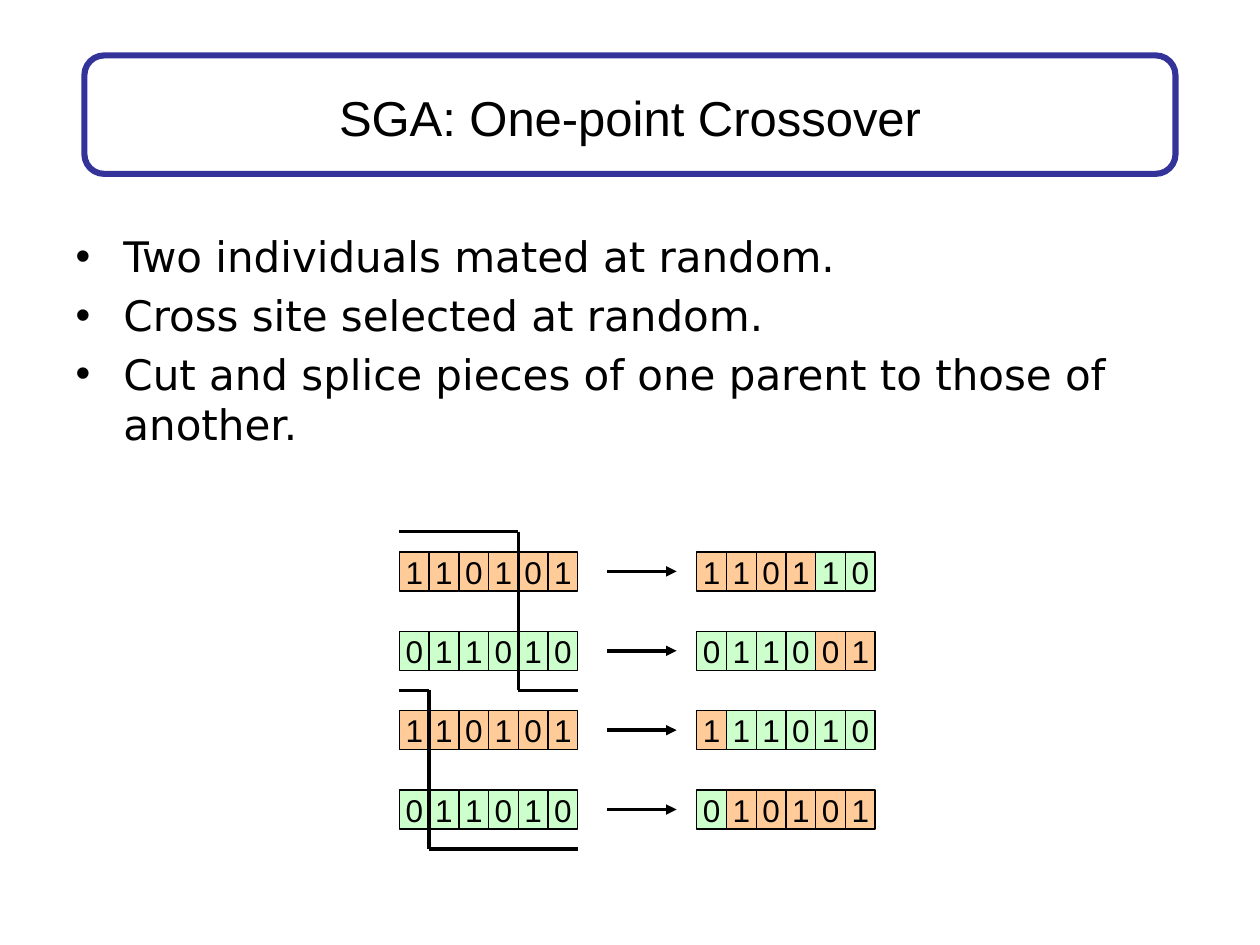
import pptx
import pptx.util
import pptx.dml.color
import pptx.enum.shapes
import pptx.enum.text
import pptx.oxml
import pptx.oxml.ns
from pptx.util import Inches, Pt

TITLE = "SGA: One-point Crossover"
BULLETS = [
    "Two individuals mated at random. ",
    "Cross site selected at random.",
    "Cut and splice pieces of one parent to those of another.",
]
ORANGE, GREEN, BLACK, BLUE = "FFCC99", "CCFFCC", "000000", "333399"
PARENTS = [("110101", ORANGE), ("011010", GREEN)]
CUTS = [4, 1]

PARENT_X, CHILD_X, TOP = 3.17, 5.53, 4.38
CELL_W, CELL_H, ROW_STEP = 0.236, 0.31, 0.63
ARROW_X1, ARROW_X2 = 4.82, 5.37
CUT_MARGIN = 0.16


def color(value):
    return pptx.dml.color.RGBColor.from_string(value)


def format_text(p, font, size):
    for r in p.runs:
        r.font.name = font
        r.font.size = Pt(size)
        r.font.color.rgb = color(BLACK)


def add_line(x1, y1, x2, y2, arrow=False):
    line = s.shapes.add_connector(
        pptx.enum.shapes.MSO_CONNECTOR.STRAIGHT,
        Inches(x1), Inches(y1), Inches(x2), Inches(y2))
    line.line.color.rgb = color(BLACK)
    line.line.width = Pt(2)
    if arrow:
        ln = line.line._get_or_add_ln()
        pptx.oxml.ns.qn("a:tailEnd")
        ln.append(pptx.oxml.parse_xml(
            '<a:tailEnd %s type="triangle"/>' % pptx.oxml.ns.nsdecls("a")))
    line._element.spPr.append(pptx.oxml.parse_xml(
        "<a:effectLst %s/>" % pptx.oxml.ns.nsdecls("a")))


def add_genes(x, y, genes):
    for i, (bit, fill) in enumerate(genes):
        sp = s.shapes.add_shape(
            pptx.enum.shapes.MSO_SHAPE.RECTANGLE,
            Inches(x + i * CELL_W), Inches(y), Inches(CELL_W), Inches(CELL_H))
        sp.shadow.inherit = False
        sp.fill.solid()
        sp.fill.fore_color.rgb = color(fill)
        sp.line.color.rgb = color(BLACK)
        sp.line.width = Pt(0.75)
        tf = sp.text_frame
        tf.word_wrap = False
        tf.vertical_anchor = pptx.enum.text.MSO_ANCHOR.MIDDLE
        tf.text = bit
        p = tf.paragraphs[0]
        p.alignment = pptx.enum.text.PP_ALIGN.CENTER
        format_text(p, "Arial", 18)


def place(sp, x, y, w, h):
    sp.left, sp.top, sp.width, sp.height = map(Inches, (x, y, w, h))


prs = pptx.Presentation()
prs.slide_width, prs.slide_height = Inches(10), Inches(7.5)
s = prs.slides.add_slide(prs.slide_layouts[1])

frame = s.shapes.add_shape(
    pptx.enum.shapes.MSO_SHAPE.ROUNDED_RECTANGLE,
    Inches(0.67), Inches(0.44), Inches(8.66), Inches(0.94))
frame.shadow.inherit = False
frame.fill.background()
frame.line.color.rgb = color(BLUE)
frame.line.width = Pt(3.5)
s.shapes._spTree.insert(2, frame._element)

title = s.shapes.title
place(title, 0.5, 0.3, 9, 1.25)
title.text_frame.text = TITLE
title.text_frame.vertical_anchor = pptx.enum.text.MSO_ANCHOR.MIDDLE
p = title.text_frame.paragraphs[0]
p.alignment = pptx.enum.text.PP_ALIGN.CENTER
format_text(p, "Arial", 28)

body = s.placeholders[1]
place(body, 0.5, 1.78, 9, 4.92)
tf = body.text_frame
tf.text = "\n".join(BULLETS)
tf.auto_size = pptx.enum.text.MSO_AUTO_SIZE.NONE
for p in tf.paragraphs:
    format_text(p, "DejaVu Sans", 24)
    pPr = p._p.get_or_add_pPr()
    pPr.set("marL", str(Inches(0.38)))
    pPr.set("indent", str(-Inches(0.38)))
    for xml in ('<a:spcBef %s><a:spcPct val="20000"/></a:spcBef>',
                '<a:buChar %s char="\u2022"/>'):
        pPr.append(pptx.oxml.parse_xml(xml % pptx.oxml.ns.nsdecls("a")))

parents = [[(bit, fill) for bit in bits] for bits, fill in PARENTS]
right = PARENT_X + len(parents[0]) * CELL_W
for n, cut in enumerate(CUTS):
    y = TOP + 2 * n * ROW_STEP
    for k, (own, mate) in enumerate(zip(parents, reversed(parents))):
        row_y = y + k * ROW_STEP
        add_genes(PARENT_X, row_y, own)
        add_genes(CHILD_X, row_y, own[:cut] + mate[cut:])
        arrow_y = row_y + CELL_H / 2
        add_line(ARROW_X1, arrow_y, ARROW_X2, arrow_y, arrow=True)
    cut_x = PARENT_X + cut * CELL_W
    cut_top = y - CUT_MARGIN
    cut_bottom = cut_top + 2 * ROW_STEP
    add_line(PARENT_X, cut_top, cut_x, cut_top)
    add_line(cut_x, cut_top, cut_x, cut_bottom)
    add_line(cut_x, cut_bottom, right, cut_bottom)

prs.save("out.pptx")
